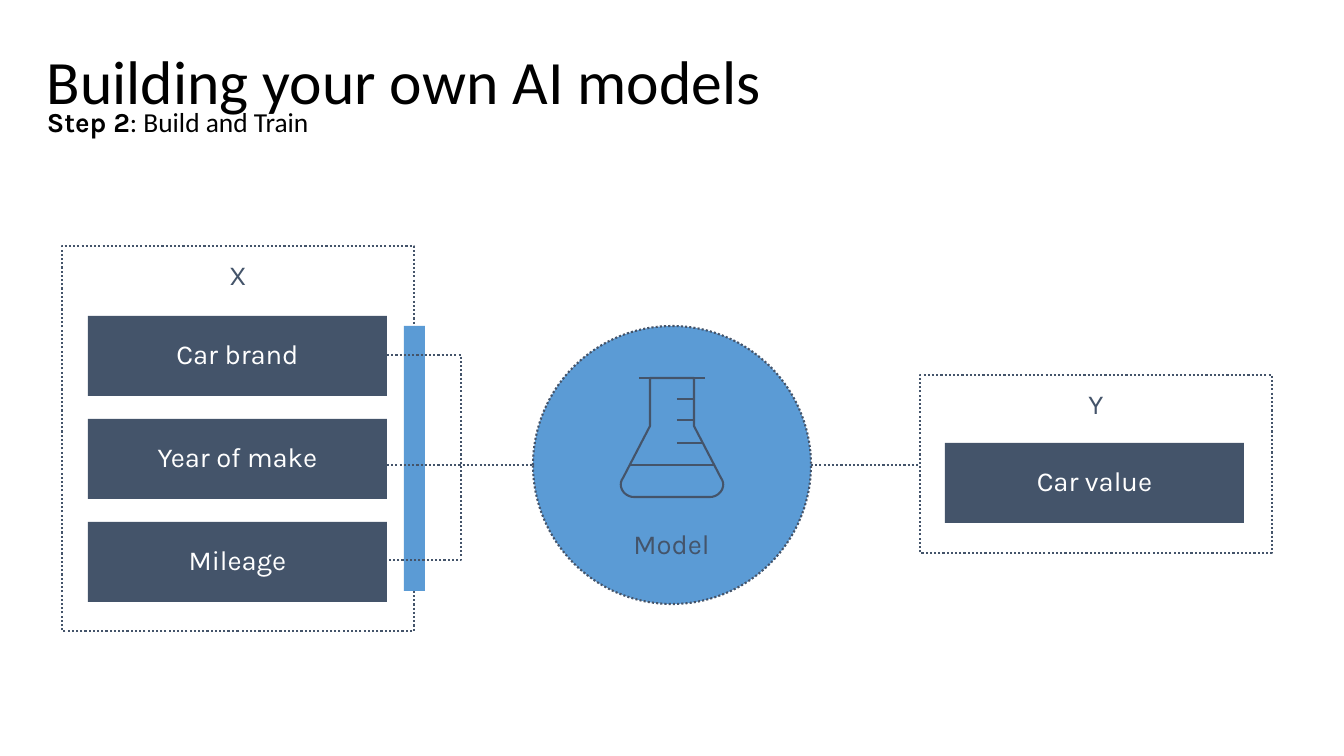
from lxml.etree import SubElement
from pptx import Presentation
from pptx.dml.color import RGBColor
from pptx.enum.dml import MSO_LINE
from pptx.enum.shapes import MSO_CONNECTOR, MSO_SHAPE
from pptx.enum.text import MSO_ANCHOR, MSO_AUTO_SIZE, PP_ALIGN
from pptx.oxml.ns import qn
from pptx.util import Pt

PX = 914400 / 100.8
SLATE, BLUE, WHITE, BLACK = "44546A", "5B9BD5", "FFFFFF", "000000"


def paint(fill, colour):
    fill.solid()
    fill.fore_color.rgb = RGBColor.from_string(colour)


def write(shape, text, colour=SLATE, font="Karla", size=19.6, bold=False,
          align=PP_ALIGN.CENTER, anchor=MSO_ANCHOR.MIDDLE,
          insets=(20, 16, 20, 16), fit=MSO_AUTO_SIZE.NONE):
    """Add a formatted run to the first paragraph of a shape."""
    frame = shape.text_frame
    frame.word_wrap, frame.auto_size = True, fit
    frame.vertical_anchor = anchor
    (frame.margin_left, frame.margin_top,
     frame.margin_right, frame.margin_bottom) = [round(n * PX) for n in insets]
    paragraph = frame.paragraphs[0]
    paragraph.alignment, paragraph.line_spacing = align, 0.9
    paragraph.space_before = Pt(0)
    run = paragraph.add_run()
    run.text = text
    run.font.name, run.font.size, run.font.bold = font, Pt(size), bold
    paint(run.font.fill, colour)


deck = Presentation()
deck.slide_width, deck.slide_height = round(1344 * PX), round(756 * PX)
slide = deck.slides.add_slide(deck.slide_layouts[1])

# Title and step line
title, step = slide.placeholders
for heading, bounds in ((title, (47, 33, 1250, 84)), (step, (47, 109, 1250, 30))):
    heading.left, heading.top, heading.width, heading.height = [
        round(n * PX) for n in bounds]
write(title, "Building your own AI models", BLACK, "Calibri", 44,
      align=PP_ALIGN.LEFT, anchor=MSO_ANCHOR.TOP, insets=(0, 18, 0, 0))

step_paragraph = step.text_frame.paragraphs[0]
step_properties = step_paragraph._p.get_or_add_pPr()
step_properties.set("marL", "0")
step_properties.set("indent", "0")
SubElement(step_properties, qn("a:buNone"))
step_paragraph.space_after = Pt(12.7)
for words, font, bold in (("Step 2", "Karla", True),
                          (": Build and Train", "Calibri", False)):
    write(step, words, BLACK, font, bold=bold, align=PP_ALIGN.LEFT,
          anchor=MSO_ANCHOR.TOP, insets=(0, 0, 0, 0),
          fit=MSO_AUTO_SIZE.SHAPE_TO_FIT_TEXT)

# Frames, feature boxes, model circle and bracket: kind, bounds, fill, outlined, text
RECT = MSO_SHAPE.RECTANGLE
features = [(RECT, (88, 316 + 103 * row, 299, 80), SLATE, False, feature)
            for row, feature in enumerate(("Car brand", "Year of make", "Mileage"))]
parts = [
    (RECT, (62, 246, 352, 385), None, True, "X"),
    (RECT, (404, 326, 21, 265), BLUE, False, ""),
    (RECT, (920, 375, 352, 178), None, True, "Y"),
    *features,
    (RECT, (945, 443, 299, 80), SLATE, False, "Car value"),
    (MSO_SHAPE.OVAL, (533, 326, 278, 278), BLUE, True, ""),
    (MSO_SHAPE.RIGHT_BRACKET, (387, 355, 74, 205), None, True, ""),
]
for kind, bounds, fill, outlined, label in parts:
    part = slide.shapes.add_shape(kind, *[round(n * PX) for n in bounds])
    part.shadow.inherit = False
    if kind == MSO_SHAPE.RIGHT_BRACKET:
        part.adjustments[0] = 0
    if fill:
        paint(part.fill, fill)
    else:
        part.fill.background()
    if outlined:
        paint(part.line.fill, SLATE)
        part.line.width, part.line.dash_style = Pt(1.5), MSO_LINE.ROUND_DOT
    else:
        part.line.fill.background()
    if label:
        write(part, label, WHITE if fill else SLATE,
              anchor=MSO_ANCHOR.MIDDLE if fill else MSO_ANCHOR.TOP)

model_label = slide.shapes.add_textbox(*[round(n * PX) for n in (522, 500, 299, 92)])
write(model_label, "Model")

# Flask outline: left half with a curved corner, mirrored about the circle's centre
CENTRE = 672
corner = ((623, 478), (617, 486), (624, 497), (634, 497))
left_half = [(650, 378), (650, 426)]
for n in range(13):
    t = n / 12
    weights = ((1 - t) ** 3, 3 * t * (1 - t) ** 2, 3 * t ** 2 * (1 - t), t ** 3)
    left_half.append(tuple(sum(w * point[axis] for w, point in zip(weights, corner))
                           for axis in (0, 1)))
right_half = [(2 * CENTRE - x, y) for x, y in reversed(left_half)]
outline = [(round(x * PX), round(y * PX)) for x, y in left_half + right_half]
builder = slide.shapes.build_freeform(*outline[0])
builder.add_line_segments(outline[1:], close=True)
flask = builder.convert_to_shape()
flask.shadow.inherit = False
flask.fill.background()
paint(flask.line.fill, SLATE)
flask.line.width = Pt(1.5)

# Flask rim, liquid level and scale marks, then the dotted flow lines
straight_lines = [
    (639, 705, 378, False), (630, 714, 465, False),
    (677, 694, 399, False), (677, 694, 420, False), (677, 702, 443, False),
    (387, 533, 465, True), (811, 920, 465, True),
]
for start, end, y, dotted in straight_lines:
    stroke = slide.shapes.add_connector(
        MSO_CONNECTOR.STRAIGHT, *[round(n * PX) for n in (start, y, end, y)])
    paint(stroke.line.fill, SLATE)
    stroke.line.width = Pt(1.5)
    if dotted:
        stroke.line.dash_style = MSO_LINE.ROUND_DOT
    SubElement(stroke._element.spPr, qn("a:effectLst"))

deck.save("out.pptx")
